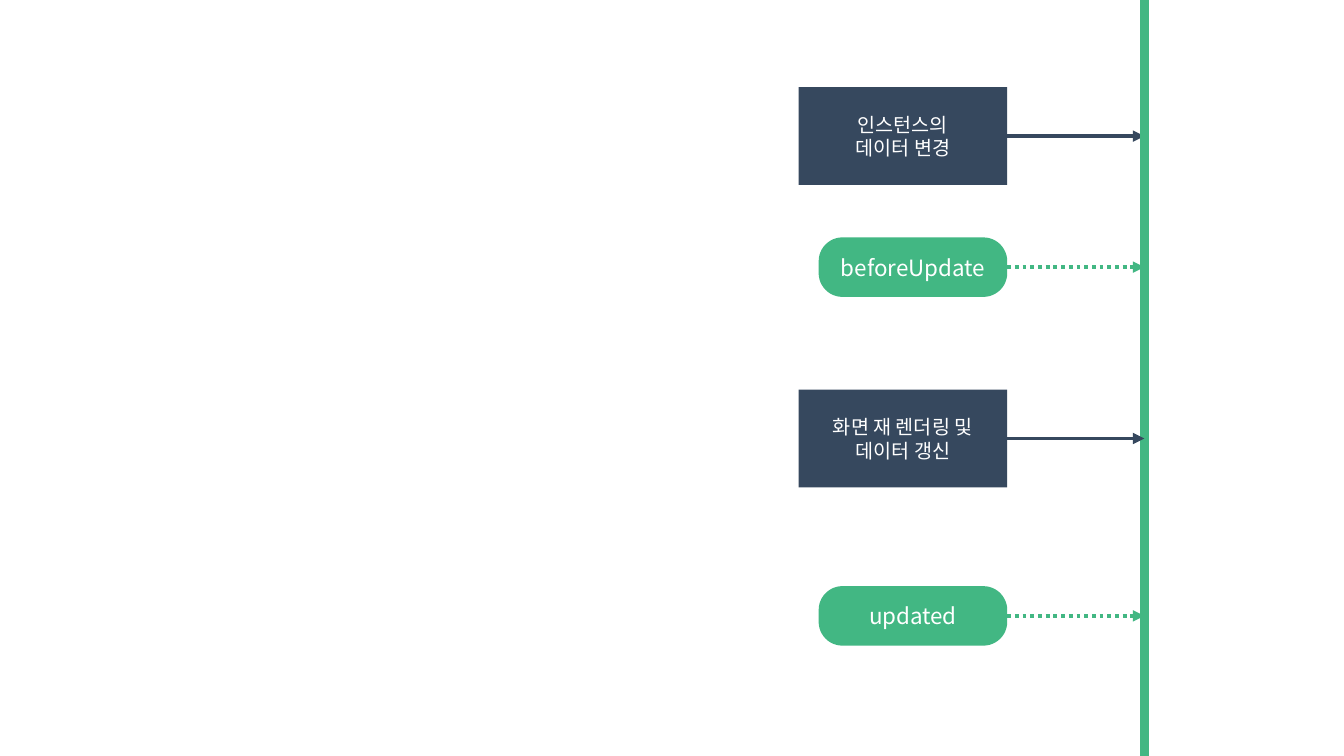
"""Build the slide showing the update stage of the instance life cycle."""
from lxml import etree
from pptx import Presentation
from pptx.dml.color import RGBColor
from pptx.enum.dml import MSO_LINE
from pptx.enum.shapes import MSO_CONNECTOR, MSO_SHAPE
from pptx.enum.text import MSO_ANCHOR, PP_ALIGN
from pptx.oxml.ns import qn
from pptx.util import Inches, Pt

STRAIGHT = MSO_CONNECTOR.STRAIGHT
RECTANGLE, ROUNDED = MSO_SHAPE.RECTANGLE, MSO_SHAPE.ROUNDED_RECTANGLE
DOTTED = MSO_LINE.ROUND_DOT
MIDDLE, CENTER = MSO_ANCHOR.MIDDLE, PP_ALIGN.CENTER

FONT = "Noto Sans CJK KR"
COLORS = {"hook": "42B783", "event": "36485E", "label": "FFFFFF"}
STEP_RIGHT, TIMELINE_X = 9.99, 11.35
SLIDE_WIDTH, SLIDE_HEIGHT = 13.33, 7.5
STYLES = {
    "event": {"outline": RECTANGLE, "width": 2.07, "height": 0.97, "size": 14},
    "hook": {"outline": ROUNDED, "width": 1.87, "height": 0.59, "size": 16},
}

deck = Presentation()
deck.slide_width, deck.slide_height = Inches(SLIDE_WIDTH), Inches(SLIDE_HEIGHT)
slide = deck.slides.add_slide(deck.slide_layouts[6])


def add_line(start, end, role, weight):
    line = slide.shapes.add_connector(STRAIGHT, *map(Inches, start + end))
    line.line.color.rgb = RGBColor.from_string(COLORS[role])
    line.line.width = Pt(weight)
    etree.SubElement(line._element.spPr, qn("a:effectLst"))
    return line


def add_step(text, role, middle):
    style = STYLES[role]
    width, height = style["width"], style["height"]
    step = slide.shapes.add_shape(
        style["outline"], Inches(STEP_RIGHT - width), Inches(middle - height / 2),
        Inches(width), Inches(height))
    if role == "hook":
        step.adjustments[0] = 0.4
    step.shadow.inherit = False
    step.fill.solid()
    step.fill.fore_color.rgb = RGBColor.from_string(COLORS[role])
    step.line.fill.background()
    step.text_frame.text = text
    step.text_frame.word_wrap = True
    step.text_frame.vertical_anchor = MIDDLE
    for paragraph in step.text_frame.paragraphs:
        paragraph.alignment = CENTER
        for run in paragraph.runs:
            run.font.name = FONT
            run.font.size = Pt(style["size"])
            run.font.color.rgb = RGBColor.from_string(COLORS["label"])
            etree.SubElement(run.font._element, qn("a:ea"), typeface=FONT)

    arrow = add_line((STEP_RIGHT, middle), (TIMELINE_X, middle), role, 2.75)
    if role == "hook":
        arrow.line.dash_style = DOTTED
    etree.SubElement(arrow.line._get_or_add_ln(), qn("a:tailEnd"), type="triangle")


for text, role, middle in [
    ("인스턴스의\n데이터 변경", "event", 1.35),
    ("beforeUpdate", "hook", 2.65),
    ("updated", "hook", 6.11),
]:
    add_step(text, role, middle)

add_line((TIMELINE_X, 0), (TIMELINE_X, SLIDE_HEIGHT), "hook", 6)
add_step("화면 재 렌더링 및 데이터 갱신", "event", 4.35)

deck.save("out.pptx")
